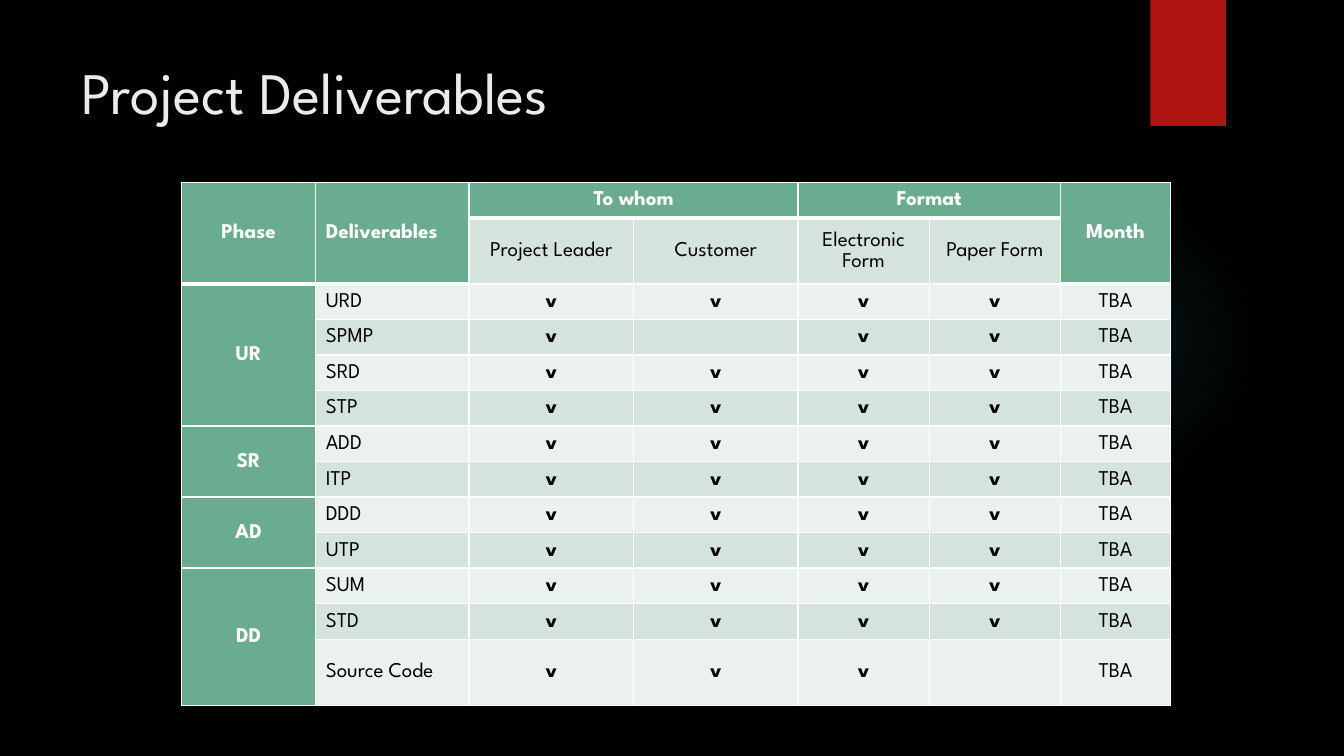
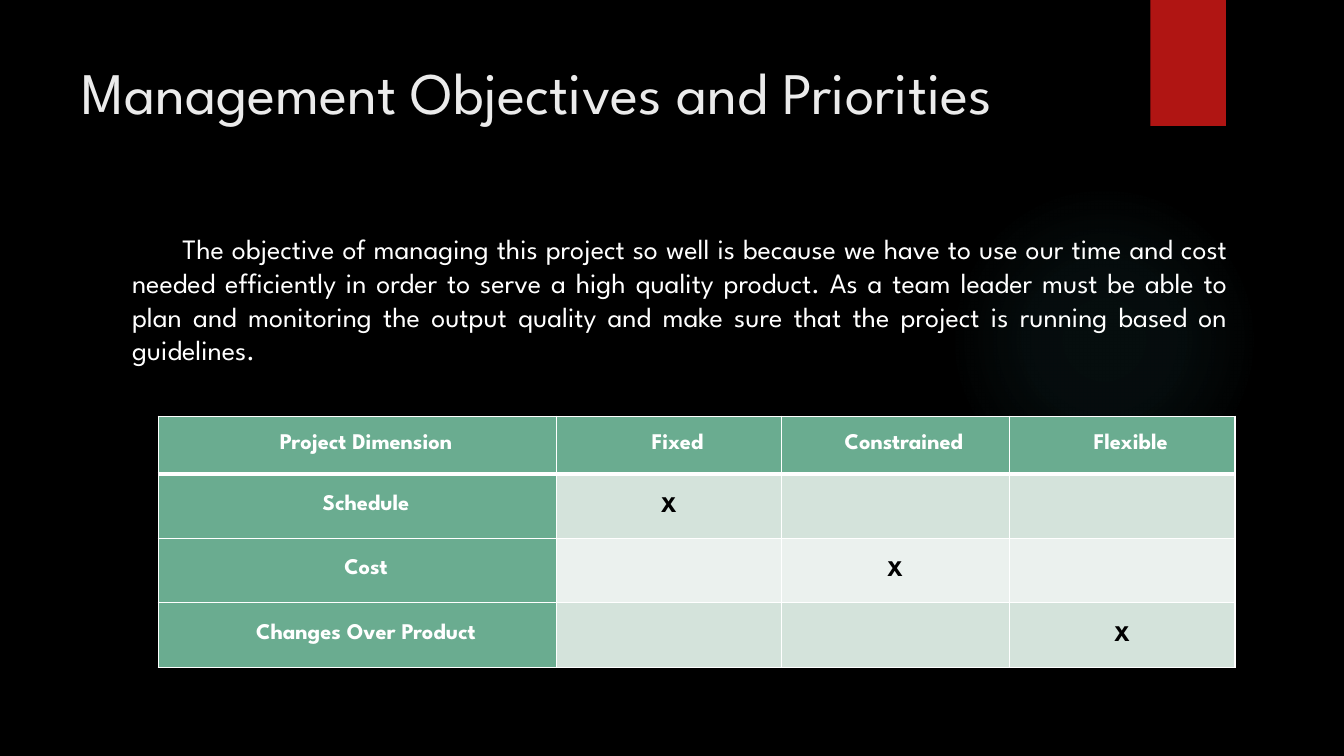
"""Build two slides of a project plan: deliverables and management priorities."""
from dataclasses import dataclass

from lxml import etree
from pptx import Presentation
from pptx import util as u
from pptx.dml.color import RGBColor
from pptx.enum import shapes, text
from pptx.oxml import ns


@dataclass(frozen=True)
class Theme:
    """Colours, font and type sizes of the deck."""
    font: str = "League Spartan"
    background: str = "000000"
    title: str = "EBEBEB"
    light: str = "FFFFFF"
    dark: str = "000000"
    ribbon: str = "B01513"
    glow: str = "50B9C1"
    header: str = "6AAC90"
    odd_row: str = "D4E3DB"
    even_row: str = "EBF1EE"
    title_size: int = 42
    body_size: int = 20
    deliverable_size: int = 15
    priority_size: int = 16
    thin_line: int = 1
    thick_line: int = 3


THEME = Theme()
TITLE_BOX = (0.71, 0.5, 10.29, 1.53)
CENTER, LEFT = text.PP_ALIGN.CENTER, text.PP_ALIGN.LEFT
PHASES = {
    "UR": ["URD", "SPMP", "SRD", "STP"],
    "SR": ["ADD", "ITP"],
    "AD": ["DDD", "UTP"],
    "DD": ["SUM", "STD", "Source Code"],
}
UNMARKED = {"SPMP": 1, "Source Code": 3}
OBJECTIVE = (
    "The objective of managing this project so well is because we have to use our time "
    "and cost needed efficiently in order to serve a high quality product. As a team "
    "leader must be able to plan and monitoring the output quality and make sure that "
    "the project is running based on guidelines."
)
PRIORITIES = [
    ["Project Dimension", "Fixed", "Constrained", "Flexible"],
    ["Schedule", "X", "", ""],
    ["Cost", "", "X", ""],
    ["Changes Over Product", "", "", "X"],
]


def add_xml(parent, tag, **attrs):
    """Append a drawing element to its parent and return it."""
    return etree.SubElement(parent, ns.qn(tag), {k: str(v) for k, v in attrs.items()})


def format_runs(p, size, color, bold=False):
    """Set the font of every run in a paragraph."""
    for r in p.runs:
        r.font.name, r.font.size, r.font.bold = THEME.font, u.Pt(size), bold
        r.font.color.rgb = RGBColor.from_string(color)


def place(sp, box):
    """Move a shape to a box given in inches."""
    sp.left, sp.top, sp.width, sp.height = map(u.Inches, box)


def add_plain_shape(s, kind, box, color):
    """Add a filled shape without line or shadow."""
    sp = s.shapes.add_shape(kind, *map(u.Inches, box))
    sp.shadow.inherit = False
    sp.line.fill.background()
    sp.fill.solid()
    sp.fill.fore_color.rgb = RGBColor.from_string(color)
    return sp


def fill_with_glow(sp):
    """Replace a solid fill with a circular fade."""
    grad = etree.Element(ns.qn("a:gradFill"), rotWithShape="1")
    stops = add_xml(grad, "a:gsLst")
    for pos, alpha in ((0, 7), (36, 6), (69, 0)):
        stop = add_xml(stops, "a:gs", pos=pos * 1000)
        color = add_xml(stop, "a:srgbClr", val=THEME.glow)
        add_xml(color, "a:alpha", val=alpha * 1000)
    fade = add_xml(grad, "a:path", path="circle")
    add_xml(fade, "a:fillToRect", l=50000, t=50000, r=50000, b=50000)
    solid = sp._element.spPr.find(ns.qn("a:solidFill"))
    solid.getparent().replace(solid, grad)


def decorate_master(prs, s):
    """Give the master its background, glow and ribbon."""
    master = prs.slide_master
    master.background.fill.solid()
    master.background.fill.fore_color.rgb = RGBColor.from_string(THEME.background)
    kinds = shapes.MSO_SHAPE
    glow = add_plain_shape(s, kinds.OVAL, (9.41, 1.83, 3.08, 3.08), THEME.glow)
    fill_with_glow(glow)
    ribbon = add_plain_shape(s, kinds.RECTANGLE, (11.41, 0, 0.75, 1.25), THEME.ribbon)
    for sp in (glow, ribbon):
        master.shapes._spTree.append(sp._element)


def fill_placeholder(sp, box, words, size, color):
    """Place a text placeholder and return its only paragraph."""
    place(sp, box)
    tf = sp.text_frame
    tf.text = words
    tf.word_wrap, tf.auto_size = True, text.MSO_AUTO_SIZE.NONE
    tf.vertical_anchor = text.MSO_ANCHOR.TOP
    p = tf.paragraphs[0]
    p.space_before = u.Pt(0)
    format_runs(p, size, color)
    return p


def add_title(s, words):
    """Fill the title placeholder."""
    p = fill_placeholder(s.shapes.title, TITLE_BOX, words, THEME.title_size, THEME.title)
    p.alignment = LEFT


def add_objective(s, box):
    """Fill the body placeholder with one justified, indented paragraph."""
    p = fill_placeholder(s.placeholders[1], box, OBJECTIVE, THEME.body_size, THEME.light)
    p.alignment = text.PP_ALIGN.JUSTIFY
    pPr = p._p.get_or_add_pPr()
    pPr.set("marL", "0")
    pPr.set("indent", str(u.Inches(0.5)))
    add_xml(pPr, "a:buNone")


def set_borders(cell, first_row, thick_bottom):
    """Draw the white edges of a cell, ahead of its fill."""
    tcPr = cell._tc.get_or_add_tcPr()
    sides = "LRTB" if first_row else "LRB"
    for side in sides:
        thick = side == "B" and thick_bottom
        width = THEME.thick_line if thick else THEME.thin_line
        ln = add_xml(tcPr, f"a:ln{side}", w=u.Pt(width))
        add_xml(add_xml(ln, "a:solidFill"), "a:srgbClr", val=THEME.light)


def add_grid(s, box, widths, heights, rows, size, inset=0, header_rows=1, merges=()):
    """Add a table whose column and row weights share the given box."""
    frame = s.shapes.add_table(len(rows), len(widths), *map(u.Inches, box))
    table = frame.table
    for col, weight in zip(table.columns, widths):
        col.width = u.Inches(box[2] * weight / sum(widths))
    for row, weight in zip(table.rows, heights):
        row.height = u.Inches(box[3] * weight / sum(heights))
    for top, left, bottom, right in merges:
        table.cell(top, left).merge(table.cell(bottom, right))
    for i, row in enumerate(rows):
        for j, words in enumerate(row):
            cell = table.cell(i, j)
            header = i == 0 or (i < header_rows and cell.is_spanned)
            green = header or j == 0
            set_borders(cell, i == 0, header)
            band = THEME.odd_row if i % 2 else THEME.even_row
            cell.fill.solid()
            cell.fill.fore_color.rgb = RGBColor.from_string(THEME.header if green else band)
            cell.margin_left = cell.margin_right = u.Inches(inset)
            cell.margin_top = cell.margin_bottom = 0
            cell.vertical_anchor = text.MSO_ANCHOR.MIDDLE
            if words:
                p = cell.text_frame.paragraphs[0]
                p.text = words
                p.alignment, p.line_spacing = CENTER, 1.07
                color = THEME.light if green else THEME.dark
                format_runs(p, size, color, green or words in ("v", "X"))
    return table


def deliverables_slide(s, box):
    """Fill the slide that lists deliverables by phase."""
    add_title(s, "Project Deliverables")
    rows = [
        ["Phase", "Deliverables", "To whom", "", "Format", "", "Month"],
        ["", "", "Project Leader", "Customer", "Electronic Form", "Paper Form", ""],
    ]
    merges = [(0, c, 1, c) for c in (0, 1, 6)] + [(0, c, 0, c + 1) for c in (2, 4)]
    for phase, items in PHASES.items():
        merges.append((len(rows), 0, len(rows) + len(items) - 1, 0))
        for i, item in enumerate(items):
            marks = ["" if UNMARKED.get(item) == c else "v" for c in range(4)]
            rows.append([phase if i == 0 else "", item, *marks, "TBA"])
    widths = (1.33, 1.52, 1.63, 1.63, 1.3, 1.3, 1.09)
    heights = (0.35, 0.65, *[0.35] * 10, 0.65)
    table = add_grid(s, box, widths, heights, rows, THEME.deliverable_size,
                     inset=0.1, header_rows=2, merges=merges)
    for i, row in enumerate(rows):
        if row[1]:
            table.cell(i, 1).text_frame.paragraphs[0].alignment = LEFT


def priorities_slide(s, objective_box, grid_box):
    """Fill the slide that states the objective and the priorities."""
    add_title(s, "Management Objectives and Priorities")
    add_objective(s, objective_box)
    table = add_grid(s, grid_box, (3.95, 2.23, 2.26, 2.24), (0.57, 0.64, 0.64, 0.64),
                     PRIORITIES, THEME.priority_size)
    for i, row in enumerate(PRIORITIES):
        for j in range(len(row) if i == 0 else 1):
            p = table.cell(i, j).text_frame.paragraphs[0]
            p.line_spacing, p.space_after = u.Pt(13), u.Pt(8)
            p._p.get_or_add_pPr().set("indent", str(u.Inches(0.17)))


def main():
    """Build and save the deck."""
    prs = Presentation()
    prs.slide_width, prs.slide_height = u.Inches(13.33), u.Inches(7.5)
    deliverables = prs.slides.add_slide(prs.slide_layouts.get_by_name("Title Only"))
    decorate_master(prs, deliverables)
    deliverables_slide(deliverables, (1.8, 1.81, 9.81, 5.19))
    priorities = prs.slides.add_slide(prs.slide_layouts.get_by_name("Title and Content"))
    priorities_slide(priorities, (1.21, 2.25, 11.07, 1.83), (1.57, 4.13, 10.68, 2.49))
    prs.save("out.pptx")


if __name__ == "__main__":
    main()
